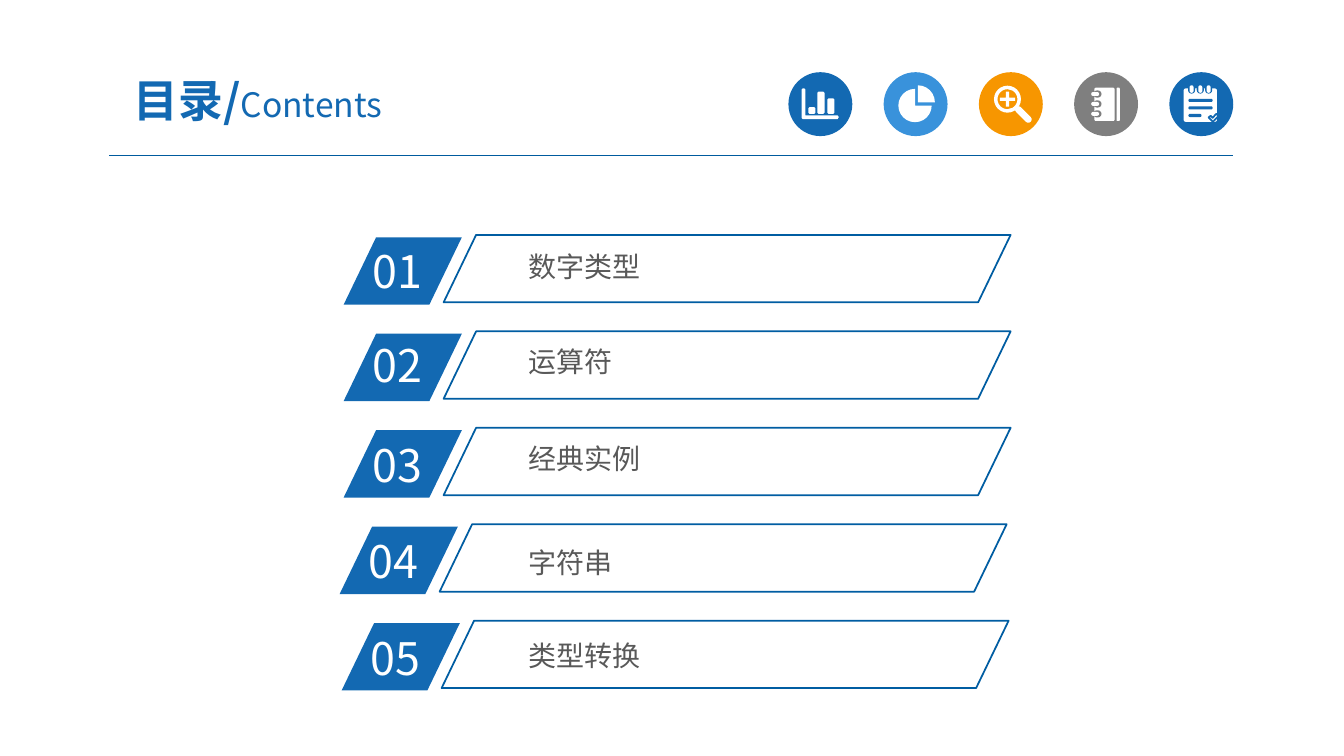
from dataclasses import dataclass

from lxml import etree
from pptx import Presentation
from pptx import util as u
from pptx.dml import color
from pptx.enum import shapes, text as t
from pptx.oxml import ns

Cm, Pt, rgb = u.Cm, u.Pt, color.RGBColor.from_string
Kind = shapes.MSO_SHAPE


@dataclass(frozen=True)
class Theme:
    font: str = "Noto Sans CJK SC"
    blue: str = "1369B2"
    sky: str = "3992DB"
    gold: str = "F79600"
    gray: str = "7F7F7F"
    white: str = "FFFFFF"
    ink: str = "595959"
    edge: str = "005DA2"
    rule: str = "005B9E"
    big: int = 32
    mid: int = 24
    small: int = 20


TH = Theme()

# number, label, row shift, number drop, label drop (cm)
ROWS = [
    ("01", "数字类型", 0, 0.04, 0.26),
    ("02", "运算符", 0, -0.02, 0.24),
    ("03", "经典实例", 0, 0.06, 0.24),
    ("04", "字符串", -0.1, 0.06, 0.44),
    ("05", "类型转换", -0.05, 0.06, 0.36),
]


def paint(shp, fill=None, line=None, width=1.25):
    shp.shadow.inherit = False
    if fill:
        shp.fill.solid()
        shp.fill.fore_color.rgb = rgb(fill)
    else:
        shp.fill.background()
    if line:
        shp.line.color.rgb = rgb(line)
        shp.line.width = Pt(width)
    else:
        shp.line.fill.background()


def shape(slide, kind, x, y, w, h, fill=None, line=None, adj=None, turn=0):
    shp = slide.shapes.add_shape(kind, Cm(x), Cm(y), Cm(w), Cm(h))
    paint(shp, fill, line)
    if adj is not None:
        shp.adjustments[0] = adj
    shp.rotation = turn
    return shp


def outline(slide, loops, fill, line=None):
    """One freeform made of closed loops of (x, y) points in cm."""
    loops = [[(Cm(x), Cm(y)) for x, y in loop] for loop in loops]
    path = slide.shapes.build_freeform(*loops[0][0])
    for i, loop in enumerate(loops):
        if i:
            path.move_to(*loop[0])
        path.add_line_segments(loop[1:], close=True)
    paint(path.convert_to_shape(), fill, line)


def text(slide, runs, x, y, w, h, hue=TH.ink, pad=(0.25, 0.13),
         align=t.PP_ALIGN.LEFT, anchor=t.MSO_ANCHOR.TOP):
    """Each run is (words, size, bold)."""
    frame = slide.shapes.add_textbox(Cm(x), Cm(y), Cm(w), Cm(h)).text_frame
    frame.word_wrap = True
    frame.vertical_anchor = anchor
    frame.margin_left = frame.margin_right = Cm(pad[0])
    frame.margin_top = frame.margin_bottom = Cm(pad[1])
    para = frame.paragraphs[0]
    para.alignment = align
    for words, size, bold in runs:
        run = para.add_run()
        run.text = words
        font = run.font
        font.name, font.size, font.bold = TH.font, Pt(size), bold
        font.color.rgb = rgb(hue)
        east = etree.SubElement(run._r.get_or_add_rPr(), ns.qn("a:ea"))
        east.set("typeface", TH.font)


def rule(slide, x1, x2, y):
    line = slide.shapes.add_connector(
        shapes.MSO_CONNECTOR.STRAIGHT, Cm(x1), Cm(y), Cm(x2), Cm(y))
    line.line.color.rgb = rgb(TH.rule)
    line.line.width = Pt(0.75)
    etree.SubElement(line._element.spPr, ns.qn("a:effectLst"))


# Icon parts: offsets are in cm from the centre of the disc
def pill(slide, cx, cy, x, y, w, h, fill=TH.white, adj=0.5, turn=0):
    shape(slide, Kind.ROUNDED_RECTANGLE, cx + x, cy + y, w, h, fill,
          adj=adj, turn=turn)


def block(x, y, w, h, cut=0.03):
    """Corner points of a box with clipped corners."""
    r, b = x + w, y + h
    return [(x + cut, y), (r - cut, y), (r, y + cut), (r, b - cut),
            (r - cut, b), (x + cut, b), (x, b - cut), (x, y + cut)]


def chart(slide, cx, cy, hue):
    left, top, foot = cx - 0.47, cy - 0.39, cy + 0.38
    axis = [(left + 0.03, top), (left + 0.07, top), (left + 0.1, top + 0.03),
            (left + 0.1, foot - 0.09), (left + 0.91, foot - 0.09),
            (left + 0.94, foot - 0.05), (left + 0.91, foot),
            (left + 0.03, foot), (left, foot - 0.03), (left, top + 0.03)]
    bars = [block(cx + x, cy + 0.25 - tall, 0.18, tall)
            for x, tall in ((-0.3, 0.17), (-0.07, 0.56), (0.18, 0.39))]
    outline(slide, [axis, *bars], TH.white)


def pie(slide, cx, cy, hue):
    shape(slide, Kind.PIE, cx - 0.43, cy - 0.38, 0.84, 0.84, TH.white)
    shape(slide, Kind.PIE_WEDGE, cx + 0.06, cy - 0.47, 0.43, 0.43,
          TH.white, turn=90)


def lens(slide, cx, cy, hue):
    shape(slide, Kind.DONUT, cx - 0.42, cy - 0.46, 0.68, 0.68,
          TH.white, adj=0.13)
    shape(slide, Kind.CROSS, cx - 0.27, cy - 0.31, 0.38, 0.38,
          TH.white, adj=0.39)
    pill(slide, cx, cy, 0.06, 0.18, 0.52, 0.17, turn=45)


def book(slide, cx, cy, hue):
    pill(slide, cx, cy, -0.29, -0.41, 0.51, 0.84, adj=0.08)
    pill(slide, cx, cy, 0.27, -0.41, 0.08, 0.84, adj=0.3)
    for y in (-0.25, 0, 0.25):
        pill(slide, cx, cy, -0.32, y - 0.09, 0.21, 0.18, hue)
        pill(slide, cx, cy, -0.37, y - 0.05, 0.2, 0.1)


def notes(slide, cx, cy, hue):
    pill(slide, cx, cy, -0.44, -0.39, 0.84, 0.84, adj=0.06)
    for x in (-0.24, -0.02, 0.19):
        pill(slide, cx, cy, x - 0.09, -0.47, 0.18, 0.21, hue)
        pill(slide, cx, cy, x - 0.05, -0.47, 0.1, 0.19)
    for y, wide in ((-0.13, 0.61), (0.06, 0.61), (0.25, 0.33)):
        pill(slide, cx, cy, -0.32, y, wide, 0.08, hue)
    tick = [(0.19, 0.34), (0.24, 0.3), (0.29, 0.35),
            (0.38, 0.25), (0.44, 0.3), (0.3, 0.45)]
    outline(slide, [[(cx + x, cy + y) for x, y in tick]], TH.white, hue)


def header(slide):
    rule(slide, 2.75, 31.07, 3.93)
    icons = [(chart, TH.blue), (pie, TH.sky), (lens, TH.gold),
             (book, TH.gray), (notes, TH.blue)]
    for i, (draw, hue) in enumerate(icons):
        cx, cy = 20.67 + 2.4 * i, 2.62
        shape(slide, Kind.OVAL, cx - 0.8, cy - 0.8, 1.61, 1.61, hue)
        draw(slide, cx, cy, hue)
    text(slide, [("目录/", TH.big, True), ("Contents", TH.mid, False)],
         2.32, 1.6, 8.36, 1.83, hue=TH.blue, pad=(0.33, 0.18),
         align=t.PP_ALIGN.CENTER, anchor=t.MSO_ANCHOR.MIDDLE)


def row(slide, y, num, label, shift, drop, dip):
    slant = Kind.PARALLELOGRAM
    shape(slide, slant, 8.66 + shift, y + 0.06, 2.98, 1.7, TH.blue, adj=0.482)
    text(slide, [(num, TH.big, False)], 9.14 + shift, y + 0.06 + drop,
         2.84, 1.63, hue=TH.white)
    text(slide, [(label, TH.small, False)], 13.13, y + dip, 10.46, 1.04,
         pad=(0.18, 0.1))
    shape(slide, slant, 11.18 + shift, y, 14.29, 1.7, line=TH.edge, adj=0.482)


def main():
    deck = Presentation()
    deck.slide_width, deck.slide_height = Cm(33.87), Cm(19.05)
    slide = deck.slides.add_slide(deck.slide_layouts[6])
    header(slide)
    # Contents list
    for i, item in enumerate(ROWS):
        row(slide, 5.92 + 2.43 * i, *item)
    deck.save("out.pptx")


if __name__ == "__main__":
    main()
